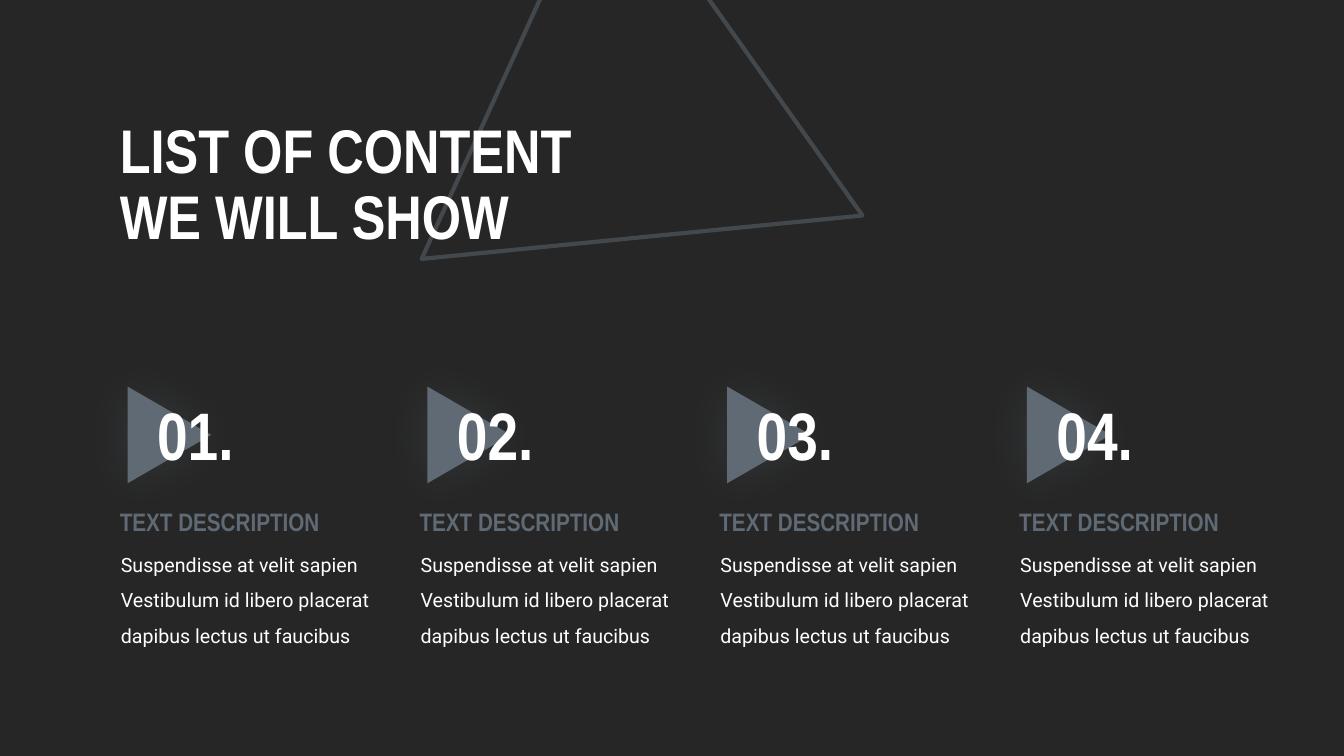
from lxml.etree import SubElement
from pptx import Presentation
from pptx.dml.color import RGBColor
from pptx.enum.shapes import MSO_SHAPE
from pptx.enum.text import MSO_ANCHOR, MSO_AUTO_SIZE as AutoSize
from pptx.oxml.ns import qn
from pptx.util import Inches, Pt

COLORS = {"background": "262626", "accent": "606A74", "text": "FFFFFF"}
HEADING_FONT, BODY_FONT = "Arial Narrow", "Roboto"
COLUMN_COUNT = 4
COLUMN_STEP = 8.92 / 3
DESCRIPTION = ("Suspendisse at velit sapien Vestibulum id libero placerat "
               "dapibus lectus ut faucibus")


class ContentSlide:
    def __init__(self, presentation):
        self.slide = presentation.slides.add_slide(presentation.slide_layouts[6])
        fill = self.slide.background.fill
        fill.solid()
        fill.fore_color.rgb = self.color("background")

    @staticmethod
    def color(name):
        return RGBColor.from_string(COLORS[name])

    @staticmethod
    def add_alpha(color_element, percent):
        SubElement(color_element, qn("a:alpha"), val=str(percent * 1000))

    def add_glow(self, shape):
        """Give the shape a soft centred shadow in the accent colour."""
        shape.shadow.inherit = False
        effects = shape._element.spPr.find(qn("a:effectLst"))
        shadow = SubElement(effects, qn("a:outerShdw"), blurRad=str(Pt(35)),
                            dist="0", dir="0", algn="ctr", rotWithShape="0")
        color = SubElement(shadow, qn("a:srgbClr"), val=COLORS["accent"])
        self.add_alpha(color, 25)

    def triangle(self, left, top, width, height, rotation, outlined=False):
        shape = self.slide.shapes.add_shape(
            MSO_SHAPE.ISOSCELES_TRIANGLE,
            Inches(left), Inches(top), Inches(width), Inches(height))
        shape.rotation = rotation
        self.add_glow(shape)
        if outlined:
            shape.fill.background()
            shape.line.width = Pt(3)
            shape.line.color.rgb = self.color("accent")
            self.add_alpha(shape.line._ln.find(".//" + qn("a:srgbClr")), 50)
        else:
            shape.fill.solid()
            shape.fill.fore_color.rgb = self.color("accent")
            shape.line.fill.background()

    def text(self, text, left, top, width, height, size, font=HEADING_FONT,
             color="text", bold=True, line_spacing=None,
             anchor=MSO_ANCHOR.TOP, auto_size=AutoSize.SHAPE_TO_FIT_TEXT):
        box = self.slide.shapes.add_textbox(
            Inches(left), Inches(top), Inches(width), Inches(height))
        frame = box.text_frame
        frame.word_wrap = True
        frame.auto_size = auto_size
        frame.vertical_anchor = anchor
        paragraph = frame.paragraphs[0]
        paragraph.text = text
        paragraph.line_spacing = line_spacing
        paragraph.font.name = font
        paragraph.font.size = Pt(size)
        paragraph.font.bold = bold
        paragraph.font.color.rgb = self.color(color)

    def content_column(self, number, left):
        self.triangle(left + 0.11, 3.9, 0.96, 0.83, rotation=90)
        self.text(f"{number:02d}.", left + 0.37, 3.85, 1.33, 0.91, size=48)
        self.text(DESCRIPTION, left + 0.01, 5.32, 2.81, 1.12, size=14,
                  font=BODY_FONT, bold=False, line_spacing=1.5)
        self.text("TEXT DESCRIPTION", left, 4.97, 2.45, 0.4, size=18,
                  color="accent")


def main():
    presentation = Presentation()
    presentation.slide_width = Inches(13.33)
    presentation.slide_height = Inches(7.5)
    content = ContentSlide(presentation)
    content.triangle(4.62, -0.55, 4.41, 3.8, rotation=114.5, outlined=True)
    content.text("LIST OF CONTENT\vWE WILL SHOW", 1.09, 1.06, 5.62, 1.58,
                 size=44, line_spacing=0.9, anchor=MSO_ANCHOR.MIDDLE,
                 auto_size=AutoSize.NONE)
    for index in range(COLUMN_COUNT):
        content.content_column(index + 1, 1.09 + index * COLUMN_STEP)
    presentation.save("out.pptx")


if __name__ == "__main__":
    main()
